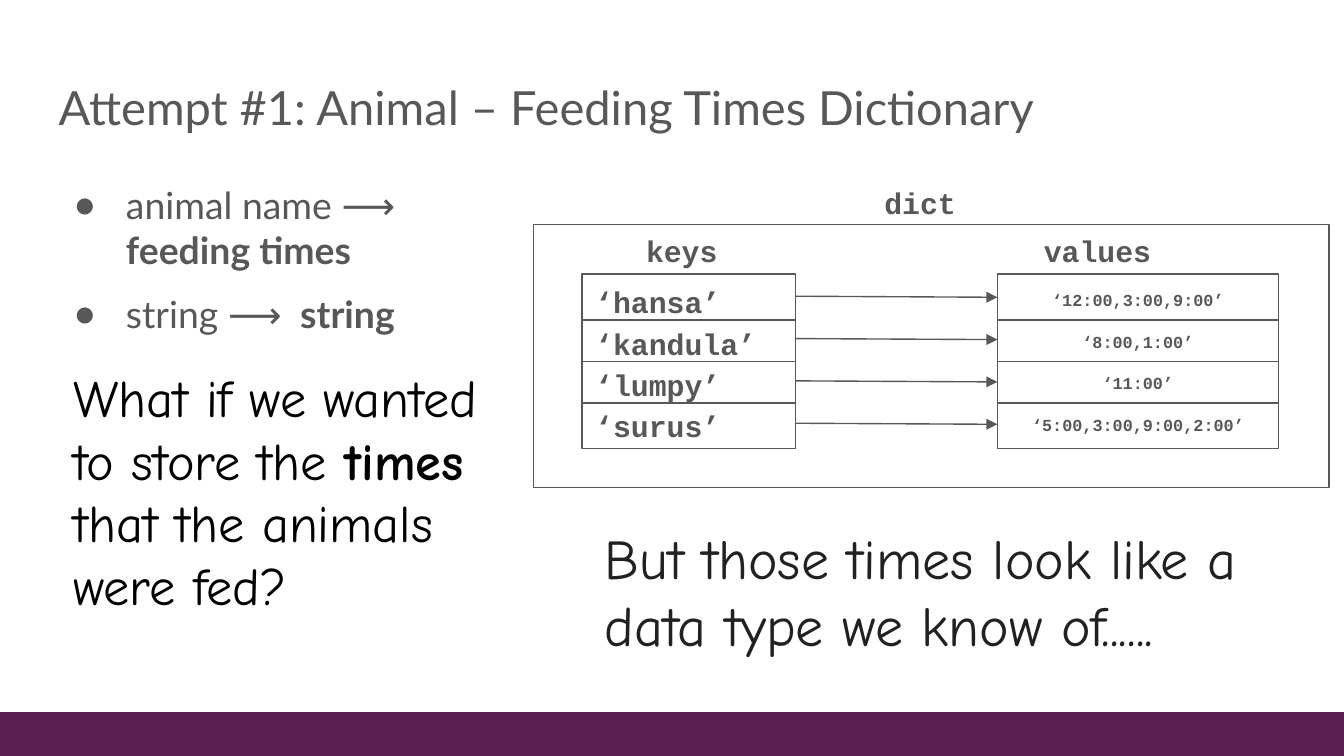
import dataclasses
import typing

import lxml.etree
import pptx
import pptx.dml.color
import pptx.enum.shapes
import pptx.enum.text
import pptx.oxml.ns
import pptx.util

Cm = pptx.util.Cm
Pt = pptx.util.Pt
ALIGN = pptx.enum.text.PP_ALIGN
ANCHOR = pptx.enum.text.MSO_ANCHOR
Box = tuple[float, float, float, float]

COLORS = {"band": "5A1E50", "grey": "585858", "answer": "212121", "question": "000000"}
CODE = {"name": "Courier New", "size": Pt(16), "bold": True}
SMALL_CODE = {**CODE, "size": Pt(9)}
TITLE = {"name": "Lato", "size": Pt(25.2), "bold": False}
BODY = {"name": "Lato", "size": Pt(20), "bold": False}
ANSWER = {"name": "Comic Neue", "size": Pt(30), "bold": False}
QUESTION = {**ANSWER, "size": Pt(28)}


@dataclasses.dataclass
class Text:
    """Paragraphs of text, each a list of (words, bold or None) runs."""
    box: Box
    paragraphs: list[list[tuple[str, typing.Optional[bool]]]]
    font: dict
    color: str = "grey"
    align: ALIGN = ALIGN.LEFT
    anchor: ANCHOR = ANCHOR.TOP
    spacing: float = 1.0
    gap: float = 0


@dataclasses.dataclass
class Column:
    """One side of the dictionary: heading, outlined box and entries."""
    heading: Text
    entries: Text
    left: float
    width: float


def plain(*lines: str) -> list[list[tuple[str, typing.Optional[bool]]]]:
    return [[(line, None)] for line in lines]


def rgb(color: str) -> pptx.dml.color.RGBColor:
    return pptx.dml.color.RGBColor.from_string(COLORS[color])


def place(shape: typing.Any, box: Box) -> None:
    for side, length in zip(("left", "top", "width", "height"), box):
        setattr(shape, side, Cm(length))


def fill_text(shape: typing.Any, text: Text) -> None:
    frame = shape.text_frame
    frame_format = {
        "word_wrap": True, "auto_size": pptx.enum.text.MSO_AUTO_SIZE.NONE,
        "vertical_anchor": text.anchor,
        **{f"margin_{side}": Cm(0.25) for side in ("left", "top", "right", "bottom")},
    }
    for key, value in frame_format.items():
        setattr(frame, key, value)
    for number, runs in enumerate(text.paragraphs):
        paragraph = frame.add_paragraph() if number else frame.paragraphs[0]
        paragraph_format = {"alignment": text.align, "line_spacing": text.spacing,
                            "space_before": Pt(text.gap), "space_after": Pt(0)}
        for key, value in paragraph_format.items():
            setattr(paragraph, key, value)
        for words, bold in runs:
            run = paragraph.add_run()
            run.text = words
            for key, value in text.font.items():
                setattr(run.font, key, value)
            if bold is not None:
                run.font.bold = bold
            run.font.color.rgb = rgb(text.color)


def add_text(shapes: typing.Any, text: Text) -> None:
    fill_text(shapes.add_textbox(*map(Cm, text.box)), text)


def add_rectangle(shapes: typing.Any, box: Box, fill: str = "") -> None:
    """Draw a filled block, or an outline when no fill is given."""
    rectangle = shapes.add_shape(pptx.enum.shapes.MSO_SHAPE.RECTANGLE, *map(Cm, box))
    rectangle.shadow.inherit = False
    if fill:
        rectangle.fill.solid()
        rectangle.fill.fore_color.rgb = rgb(fill)
        rectangle.line.fill.background()
    else:
        rectangle.fill.background()
        rectangle.line.color.rgb = rgb("grey")
        rectangle.line.width = Pt(0.75)


def add_line(shapes: typing.Any, start: tuple[float, float], end: tuple[float, float],
             arrow: bool = False) -> None:
    line = shapes.add_connector(pptx.enum.shapes.MSO_CONNECTOR.STRAIGHT,
                                *map(Cm, (*start, *end)))
    line.line.color.rgb = rgb("grey")
    line.line.width = Pt(0.75)
    qn = pptx.oxml.ns.qn
    if arrow:
        lxml.etree.SubElement(line.line._get_or_add_ln(), qn("a:tailEnd"), type="triangle")
    lxml.etree.SubElement(line._element.spPr, qn("a:effectLst"))


def add_bullet(paragraph: typing.Any) -> None:
    qn = pptx.oxml.ns.qn
    properties = paragraph._p.get_or_add_pPr()
    properties.set("marL", str(Cm(1.27)))
    properties.set("indent", str(-Cm(0.99)))
    bullet_color = lxml.etree.SubElement(properties, qn("a:buClr"))
    lxml.etree.SubElement(bullet_color, qn("a:srgbClr"), val=COLORS["grey"])
    lxml.etree.SubElement(properties, qn("a:buChar"), char="●")


def add_column(shapes: typing.Any, column: Column) -> None:
    add_rectangle(shapes, (column.left, 5.18, column.width, 3.3))
    add_text(shapes, column.entries)
    for divider in range(3):
        y = 6.05 + 0.785 * divider
        add_line(shapes, (column.left, y), (column.left + column.width, y))
    add_text(shapes, column.heading)


def main() -> None:
    deck = pptx.Presentation()
    deck.slide_width, deck.slide_height = Cm(25.4), Cm(14.29)
    slide = deck.slides.add_slide(deck.slide_layouts[1])
    shapes = slide.shapes
    add_rectangle(shapes, (0, 13.46, 25.4, 0.83), "band")

    title = Text((0.86, 1.24, 23.67, 1.6),
                 plain("Attempt #1: Animal – Feeding Times Dictionary"), TITLE)
    mapping = Text((0.86, 3.2, 8.76, 9.5),
                   [[("animal name ⟶ ", False), ("feeding times", True)],
                    [("string ⟶ ", False), (" string", True)]], BODY, gap=10)
    body = slide.placeholders[1]
    for placeholder, text in ((shapes.title, title), (body, mapping)):
        place(placeholder, text.box)
        fill_text(placeholder, text)
    for paragraph in body.text_frame.paragraphs:
        add_bullet(paragraph)
    body.text_frame.paragraphs[0].space_before = Pt(0)

    add_rectangle(shapes, (10.08, 4.24, 15.04, 4.98))
    add_text(shapes, Text((15.7, 3.25, 3.38, 1.14), plain("dict"), CODE, align=ALIGN.CENTER))
    keys = Column(
        Text((11.96, 4.14, 2.46, 1.14), plain("keys"), CODE),
        Text((11, 5.16, 4.04, 3.33), plain("‘hansa’", "‘kandula’", "‘lumpy’", "‘surus’"),
             CODE, anchor=ANCHOR.MIDDLE, spacing=1.15),
        left=11, width=4.04)
    values = Column(
        Text((19.48, 4.14, 2.92, 1.14), plain("values"), CODE),
        Text((18.85, 5.26, 5.31, 3.12),
             plain("‘12:00,3:00,9:00’", "‘8:00,1:00’", "‘11:00’", "‘5:00,3:00,9:00,2:00’"),
             SMALL_CODE, align=ALIGN.CENTER, anchor=ANCHOR.MIDDLE, spacing=1.15, gap=10),
        left=18.85, width=5.31)
    for column in (keys, values):
        add_column(shapes, column)
    for row in range(len(keys.entries.paragraphs)):
        y = 5.6 + 0.8 * row
        add_line(shapes, (keys.left + keys.width, y), (values.left, y + 0.02), arrow=True)

    add_text(shapes, Text((11.18, 9.65, 13.77, 3.05),
                          plain("But those times look like a data type we know of......"),
                          ANSWER, "answer"))
    add_text(shapes, Text((1.14, 6.65, 8.76, 5.31),
                          [[("What if we wanted to store the ", False), ("times", True),
                            (" that the animals were fed?", False)]], QUESTION, "question"))
    deck.save("out.pptx")


if __name__ == "__main__":
    main()
